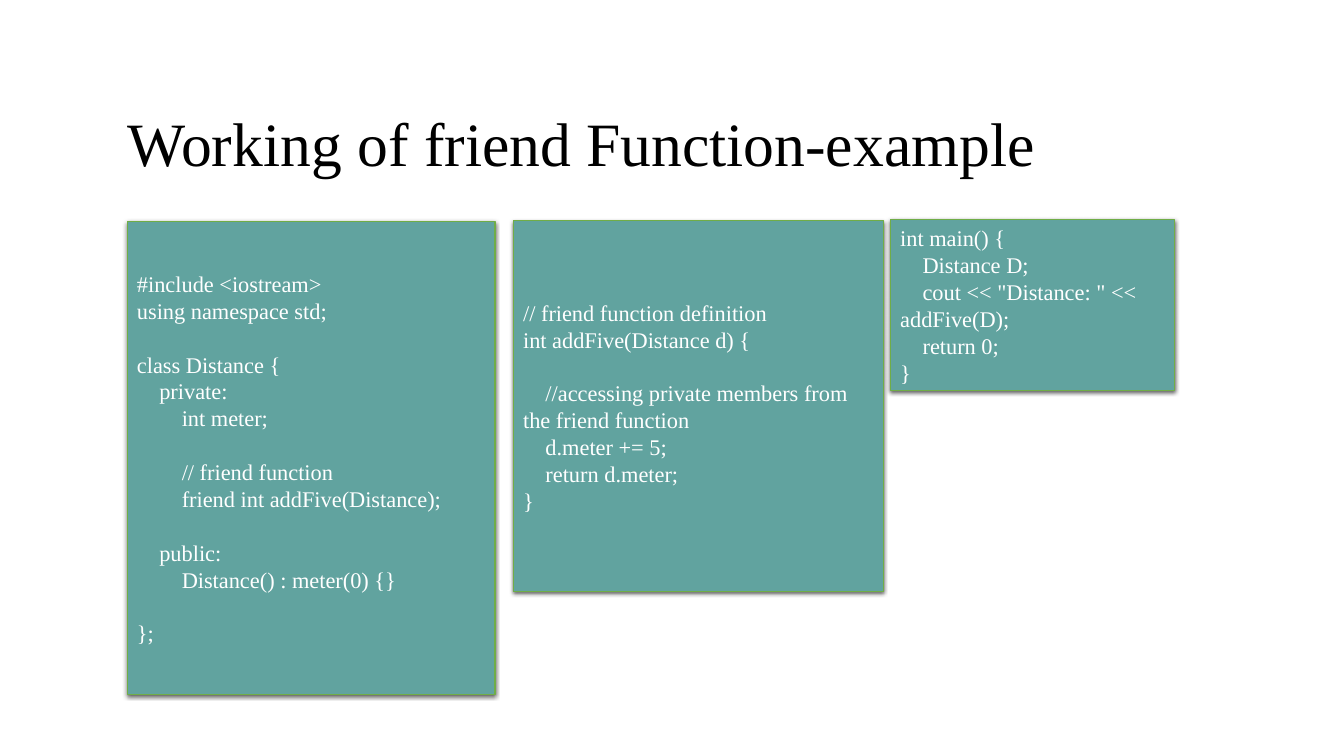
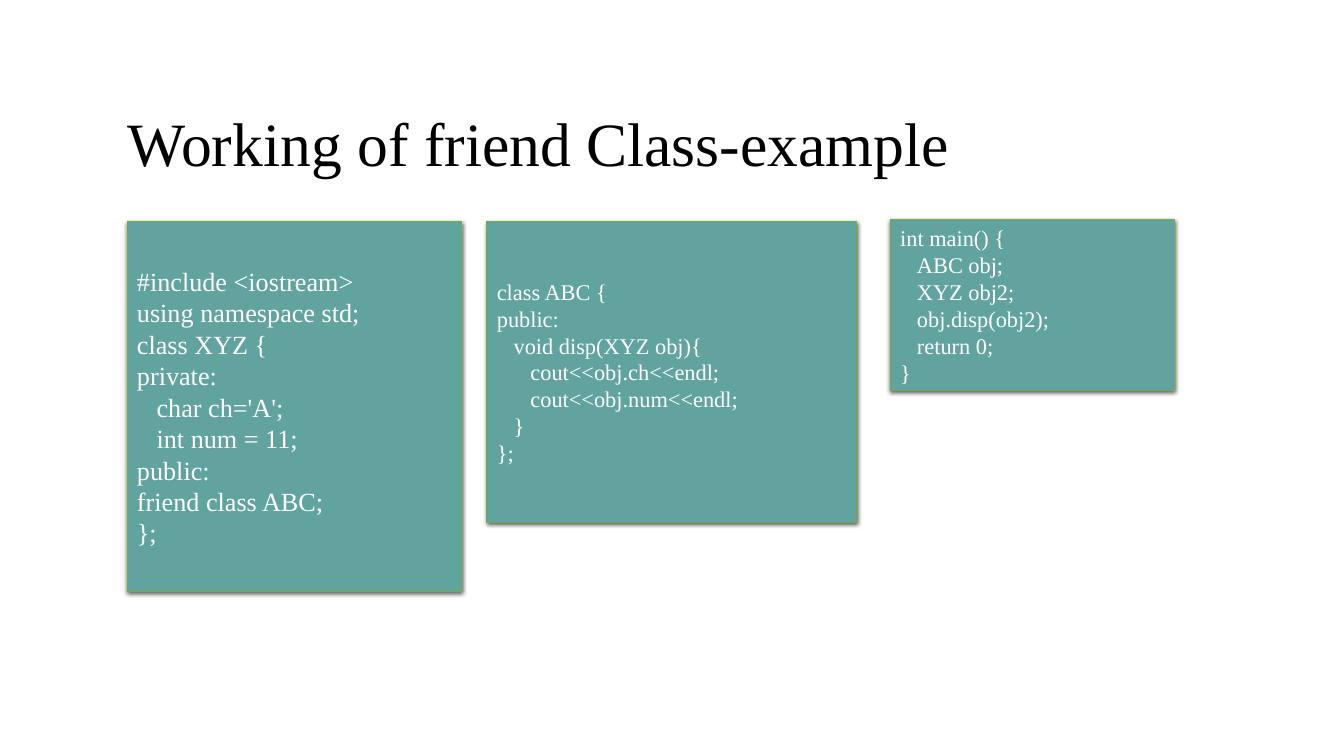
"""Build two slides showing friend function and friend class code examples."""
from pptx import Presentation
from pptx.dml.color import RGBColor
from pptx.enum.shapes import MSO_SHAPE
from pptx.enum.text import MSO_ANCHOR, PP_ALIGN
from pptx.oxml import parse_xml
from pptx.oxml.ns import nsdecls, qn
from pptx.util import Inches, Pt

RECTANGLE = MSO_SHAPE.RECTANGLE
MIDDLE = MSO_ANCHOR.MIDDLE
LEFT = PP_ALIGN.LEFT

BLACK = RGBColor(0x00, 0x00, 0x00)
WHITE = RGBColor(0xFF, 0xFF, 0xFF)
GREEN = RGBColor(0x70, 0xAD, 0x47)
TEAL_STOPS = (RGBColor(0x61, 0xA3, 0x9F), RGBColor(0x5E, 0xA2, 0x9E))

FONT = "Times New Roman"
TITLE_SIZE = 44
LINE_FACTOR = 1.2
SPACE_FACTOR = 0.25
TITLE_BOX = (1.17, 0.7, 11, 1.5)
MAIN_BOX = (8.83, 2.18, 2.82, 1.69)

# Each block holds groups of (indent level, code line).
SLIDES = [
    {
        "title": "Working of friend Function-example",
        "indent_spaces": 4,
        "blocks": [
            {
                "box": (1.26, 2.2, 3.65, 4.69),
                "size": 16,
                "groups": [
                    [(0, "#include <iostream>"), (0, "using namespace std;")],
                    [(0, "class Distance {"), (1, "private:"), (2, "int meter;")],
                    [(2, "// friend function"), (2, "friend int addFive(Distance);")],
                    [(1, "public:"), (2, "Distance() : meter(0) {}")],
                    [(0, "};")],
                ],
            },
            {
                "box": (5.09, 2.19, 3.67, 3.68),
                "size": 16,
                "groups": [
                    [(0, "// friend function definition"), (0, "int addFive(Distance d) {")],
                    [
                        (1, "//accessing private members from the friend function"),
                        (1, "d.meter += 5;"),
                        (1, "return d.meter;"),
                        (0, "}"),
                    ],
                ],
            },
            {
                "box": MAIN_BOX,
                "size": 16,
                "groups": [
                    [
                        (0, "int main() {"),
                        (1, "Distance D;"),
                        (1, 'cout << "Distance: " << addFive(D);'),
                        (1, "return 0;"),
                        (0, "}"),
                    ],
                ],
            },
        ],
    },
    {
        "title": "Working of friend Class-example",
        "indent_spaces": 3,
        "blocks": [
            {
                "box": (1.26, 2.2, 3.32, 3.67),
                "size": 18.7,
                "groups": [
                    [
                        (0, "#include <iostream>"),
                        (0, "using namespace std;"),
                        (0, "class XYZ {"),
                        (0, "private:"),
                        (1, "char ch='A';"),
                        (1, "int num = 11;"),
                        (0, "public:"),
                        (0, "friend class ABC;"),
                        (0, "};"),
                    ],
                ],
            },
            {
                "box": (4.83, 2.2, 3.67, 2.98),
                "size": 16,
                "groups": [
                    [
                        (0, "class ABC {"),
                        (0, "public:"),
                        (1, "void disp(XYZ obj){"),
                        (2, "cout<<obj.ch<<endl;"),
                        (2, "cout<<obj.num<<endl;"),
                        (1, "}"),
                        (0, "};"),
                    ],
                ],
            },
            {
                "box": MAIN_BOX,
                "size": 16,
                "groups": [
                    [
                        (0, "int main() {"),
                        (1, "ABC obj;"),
                        (1, "XYZ obj2;"),
                        (1, "obj.disp(obj2);"),
                        (1, "return 0;"),
                        (0, "}"),
                    ],
                ],
            },
        ],
    },
]


def write_paragraph(paragraph, text, size, color):
    paragraph.text = text
    paragraph.alignment = LEFT
    font = paragraph.runs[0].font
    font.name = FONT
    font.size = Pt(size)
    font.color.rgb = color


def add_title(slide, text):
    text_frame = slide.shapes.add_textbox(*map(Inches, TITLE_BOX)).text_frame
    text_frame.word_wrap = True
    text_frame.vertical_anchor = MIDDLE
    paragraph = text_frame.paragraphs[0]
    write_paragraph(paragraph, text, TITLE_SIZE, BLACK)
    paragraph.line_spacing = 0.9


def style_panel(shape):
    shape.fill.gradient()
    shape.fill.gradient_angle = 270
    for stop, color in zip(shape.fill.gradient_stops, TEAL_STOPS):
        stop.color.rgb = color
    shape.line.color.rgb = GREEN
    shape.line.width = Pt(0.75)
    shape.shadow.inherit = False
    effects = shape._element.spPr.find(qn("a:effectLst"))
    effects.append(parse_xml(
        f'<a:outerShdw {nsdecls("a")} blurRad="{Pt(3)}" dist="{Pt(1)}" dir="5400000" '
        'algn="ctr" rotWithShape="0"><a:srgbClr val="000000">'
        '<a:alpha val="63000"/></a:srgbClr></a:outerShdw>'
    ))


def add_code_block(slide, block, indent_spaces):
    shape = slide.shapes.add_shape(RECTANGLE, *map(Inches, block["box"]))
    style_panel(shape)
    text_frame = shape.text_frame
    text_frame.word_wrap = True
    text_frame.vertical_anchor = MIDDLE
    size = block["size"]
    line_height = Pt(size * LINE_FACTOR)
    indent_step = Pt(indent_spaces * size * SPACE_FACTOR)
    paragraph = text_frame.paragraphs[0]
    for group_index, group in enumerate(block["groups"]):
        for line_index, (level, text) in enumerate(group):
            if group_index or line_index:
                paragraph = text_frame.add_paragraph()
            write_paragraph(paragraph, text, size, WHITE)
            paragraph.line_spacing = line_height
            if group_index and not line_index:
                paragraph.space_before = line_height
            properties = paragraph._p.get_or_add_pPr()
            properties.set("marL", "0")
            properties.set("indent", str(level * indent_step))


def main():
    presentation = Presentation()
    presentation.slide_width = Inches(13.33)
    presentation.slide_height = Inches(7.5)
    for content in SLIDES:
        slide = presentation.slides.add_slide(presentation.slide_layouts[6])
        add_title(slide, content["title"])
        for block in content["blocks"]:
            add_code_block(slide, block, content["indent_spaces"])
    presentation.save("out.pptx")


if __name__ == "__main__":
    main()
